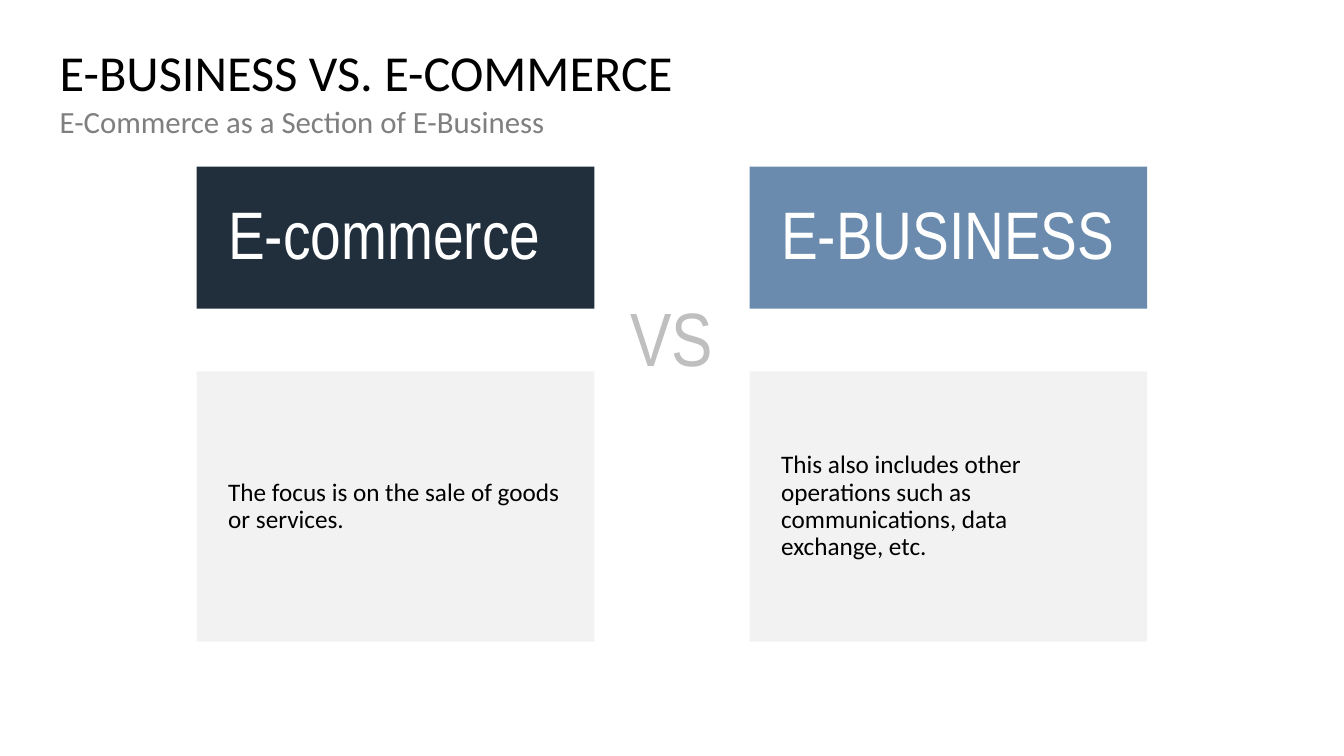
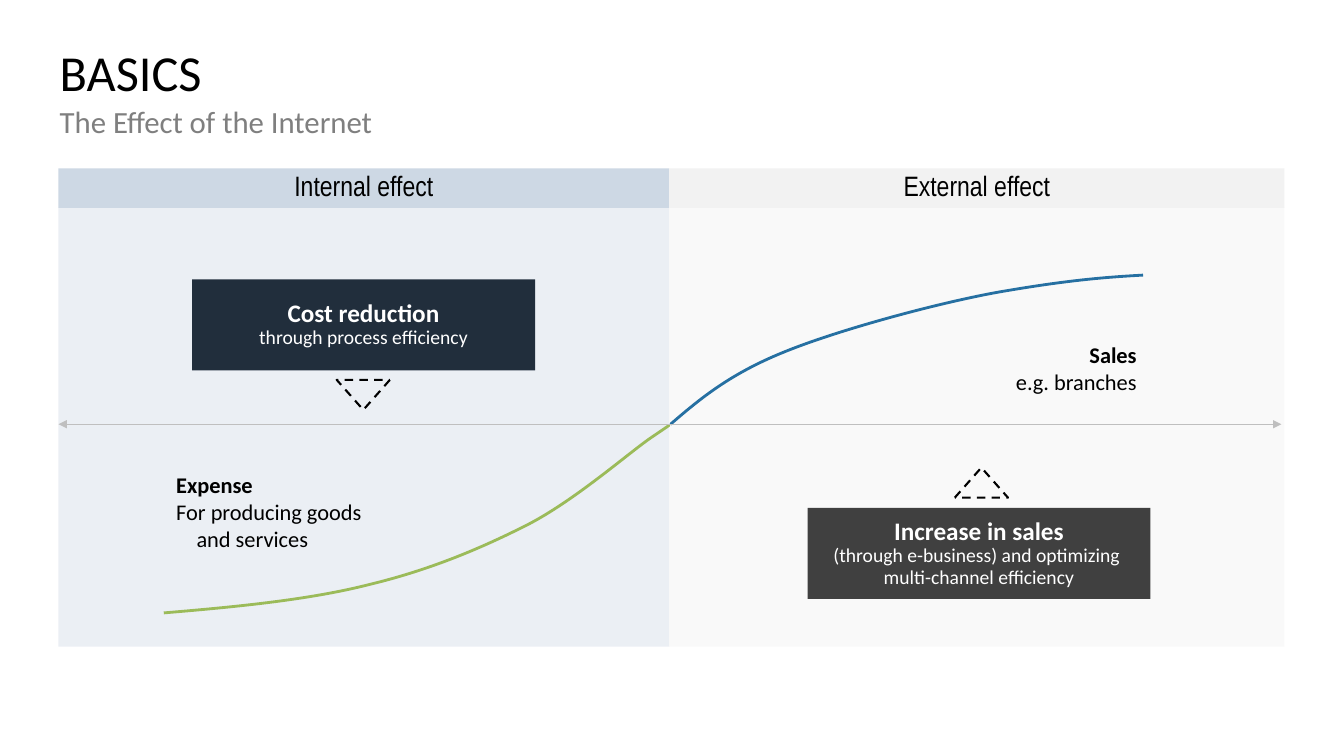
from dataclasses import dataclass

from lxml.etree import SubElement
from pptx import Presentation
from pptx.dml.color import RGBColor
from pptx.enum.dml import MSO_LINE
from pptx.enum.shapes import MSO_CONNECTOR, MSO_SHAPE
from pptx.enum.text import MSO_ANCHOR as ANCHOR, PP_ALIGN as ALIGN
from pptx.oxml.ns import qn
from pptx.util import Pt

# Shared look
BLACK = RGBColor(0x00, 0x00, 0x00)
WHITE = RGBColor(0xFF, 0xFF, 0xFF)
GREY = RGBColor(0x7F, 0x7F, 0x7F)
SILVER = RGBColor(0xBF, 0xBF, 0xBF)
PALE_GREY = RGBColor(0xF2, 0xF2, 0xF2)
CHARCOAL = RGBColor(0x40, 0x40, 0x40)
NAVY = RGBColor(0x21, 0x2E, 0x3C)
STEEL = RGBColor(0x6A, 0x8B, 0xAD)
PALE_BLUE = RGBColor(0xCD, 0xD8, 0xE4)
GREEN = RGBColor(0x9B, 0xBB, 0x59)
BLUE = RGBColor(0x26, 0x70, 0xA2)
BODY_FONT = "Calibri"
HEAD_FONT = "Arial Narrow"
NO_INSETS = (0, 0, 0, 0)
TEXT_INSETS = (7.2, 3.6, 7.2, 3.6)


@dataclass
class Para:
    text: str
    size: float
    color: RGBColor = BLACK
    font: str = BODY_FONT
    bold: bool = False
    align: ALIGN = ALIGN.LEFT
    spacing: float = 1.0
    hanging: float = 0


def write(frame, paras, insets, anchor=ANCHOR.TOP):
    """Fill a text frame; insets run left, top, right, bottom."""
    frame.word_wrap = True
    frame.vertical_anchor = anchor
    (frame.margin_left, frame.margin_top,
     frame.margin_right, frame.margin_bottom) = map(Pt, insets)
    for index, item in enumerate(paras):
        para = frame.add_paragraph() if index else frame.paragraphs[0]
        para.text = item.text
        para.alignment = item.align
        para.line_spacing = item.spacing
        if item.hanging:
            properties = para._p.get_or_add_pPr()
            properties.set("marL", str(Pt(item.hanging)))
            properties.set("indent", str(Pt(-item.hanging)))
        para.font.name = item.font
        para.font.size = Pt(item.size)
        para.font.bold = item.bold
        para.font.color.rgb = item.color


def add_text(page, area, *paras, insets=TEXT_INSETS):
    box = page.shapes.add_textbox(*map(Pt, area))
    write(box.text_frame, paras, insets)


def add_block(page, area, color, *paras, insets=NO_INSETS,
              anchor=ANCHOR.MIDDLE, opacity=None):
    block = page.shapes.add_shape(MSO_SHAPE.RECTANGLE, *map(Pt, area))
    block.shadow.inherit = False
    block.fill.solid()
    block.fill.fore_color.rgb = color
    block.line.fill.background()
    if opacity is not None:
        tint = next(block._element.spPr.iter(qn("a:srgbClr")))
        SubElement(tint, qn("a:alpha")).set("val", str(opacity * 1000))
    if paras:
        write(block.text_frame, paras, insets, anchor)


def add_callout(page, left, top, color, heading, detail):
    style = dict(color=WHITE, align=ALIGN.CENTER, spacing=0.9)
    add_block(page, (left, top, 245, 65), color,
              Para(heading, 18, bold=True, **style),
              Para(detail, 14, **style), insets=(3, 3, 3, 3))


def add_triangle(page, left, top, rotation=0):
    mark = page.shapes.add_shape(
        MSO_SHAPE.ISOSCELES_TRIANGLE, Pt(left), Pt(top), Pt(38), Pt(21.5))
    mark.shadow.inherit = False
    mark.rotation = rotation
    mark.fill.background()
    mark.line.color.rgb = BLACK
    mark.line.width = Pt(1.5)
    mark.line.dash_style = MSO_LINE.DASH


def add_double_arrow(page, left, right, y):
    arrow = page.shapes.add_connector(
        MSO_CONNECTOR.STRAIGHT, Pt(left), Pt(y), Pt(right), Pt(y))
    arrow.line.color.rgb = SILVER
    arrow.line.width = Pt(0.75)
    for end in ("a:headEnd", "a:tailEnd"):
        SubElement(arrow.line._get_or_add_ln(), qn(end)).set("type", "triangle")
    SubElement(arrow._element.spPr, qn("a:effectLst"))


def add_curve(page, points, color):
    """Draw joined cubic curves: a start, then two controls and an end each."""
    builder = page.shapes.build_freeform(*map(Pt, points[0]))
    builder.add_line_segments([tuple(map(Pt, point)) for point in points[1:]],
                              close=False)
    curve = builder.convert_to_shape()
    # Turn every three line segments into one cubic segment
    outline = next(curve._element.iter(qn("a:path")))
    segments = outline.findall(qn("a:lnTo"))
    for first in range(0, len(segments), 3):
        cubic = SubElement(outline, qn("a:cubicBezTo"))
        for segment in segments[first:first + 3]:
            cubic.append(segment[0])
            outline.remove(segment)
    curve.shadow.inherit = False
    curve.fill.background()
    curve.line.color.rgb = color
    curve.line.width = Pt(2)


def add_page(deck, title, subtitle):
    page = deck.slides.add_slide(deck.slide_layouts[6])
    add_text(page, (42.7, 34, 875, 85), Para(title, 36, spacing=0.9),
             insets=NO_INSETS)
    add_text(page, (42.7, 76.3, 875, 42.5),
             Para(subtitle, 22, GREY, spacing=0.9), insets=NO_INSETS)
    return page


def build_comparison(deck):
    page = add_page(deck, "E-BUSINESS VS. E-COMMERCE",
                    "E-Commerce as a Section of E-Business")
    add_text(page, (424.5, 204.5, 111, 73),
             Para("VS", 54, SILVER, HEAD_FONT, align=ALIGN.CENTER))

    # Two columns: a coloured heading above a grey card
    columns = (
        (140.5, NAVY, "E-commerce",
         "The focus is on the sale of goods or services."),
        (535.5, STEEL, "E-BUSINESS",
         "This also includes other operations such as communications, data "
         "\vexchange, etc."),
    )
    for left, color, heading, detail in columns:
        add_block(page, (left, 119, 284, 101.5), color,
                  Para(heading, 48, WHITE, HEAD_FONT, spacing=0.9),
                  insets=(22.5, 6, 22.5, 6))
        add_block(page, (left, 265.2, 284, 193.2), PALE_GREY,
                  Para(detail, 18, spacing=0.9), insets=(22.5, 6, 20, 6))


def build_effects(deck):
    page = add_page(deck, "BASICS", "The Effect of the Internet")

    # Halves with their header bands
    halves = ((41.8, 436.2, PALE_BLUE, "Internal effect"),
              (478, 439.5, PALE_GREY, "External effect"))
    for left, width, color, heading in halves:
        add_block(page, (left, 148.5, width, 313.3), color, opacity=40)
        add_block(page, (left, 120.3, width, 28.2), color,
                  Para(heading, 20, font=HEAD_FONT, align=ALIGN.CENTER),
                  anchor=ANCHOR.TOP)

    # Expense and sales curves
    add_curve(page, [(117, 437.8),
                     (168.5, 433.5), (221, 428.5), (264, 417.5),
                     (307.5, 407), (344, 391.5), (377.5, 374.5),
                     (411, 357), (448, 324.5), (464.5, 313),
                     (478.5, 303.5), (478.5, 303.5), (477.5, 304)], GREEN)
    add_curve(page, [(479, 303),
                     (500.5, 284.5), (522, 266.5), (562.5, 250.5),
                     (602.5, 234.5), (677, 214.5), (720, 207.5),
                     (764.5, 200), (790, 198), (816.5, 196.5)], BLUE)

    # Curve labels
    add_text(page, (118.8, 333.2, 209.5, 65.5),
             Para("Expense", 16, bold=True),
             Para("For producing goods \vand services", 16, hanging=14.5))
    add_text(page, (677, 240, 142, 46),
             Para("Sales", 16, bold=True, align=ALIGN.RIGHT),
             Para("e.g. branches", 16, align=ALIGN.RIGHT))

    # Callouts, pointers and the middle axis
    add_callout(page, 137.2, 199.6, NAVY, "Cost reduction",
                "through process efficiency")
    add_callout(page, 576.8, 362.8, CHARCOAL, "Increase in sales",
                "(through e-business) and optimizing \vmulti-channel efficiency")
    add_triangle(page, 240.5, 271.3, rotation=180)
    add_triangle(page, 682, 334)
    add_double_arrow(page, 41.8, 915.3, 303)


def main():
    deck = Presentation()
    deck.slide_width = Pt(960)
    deck.slide_height = Pt(540)
    build_comparison(deck)
    build_effects(deck)
    deck.save("out.pptx")


if __name__ == "__main__":
    main()
